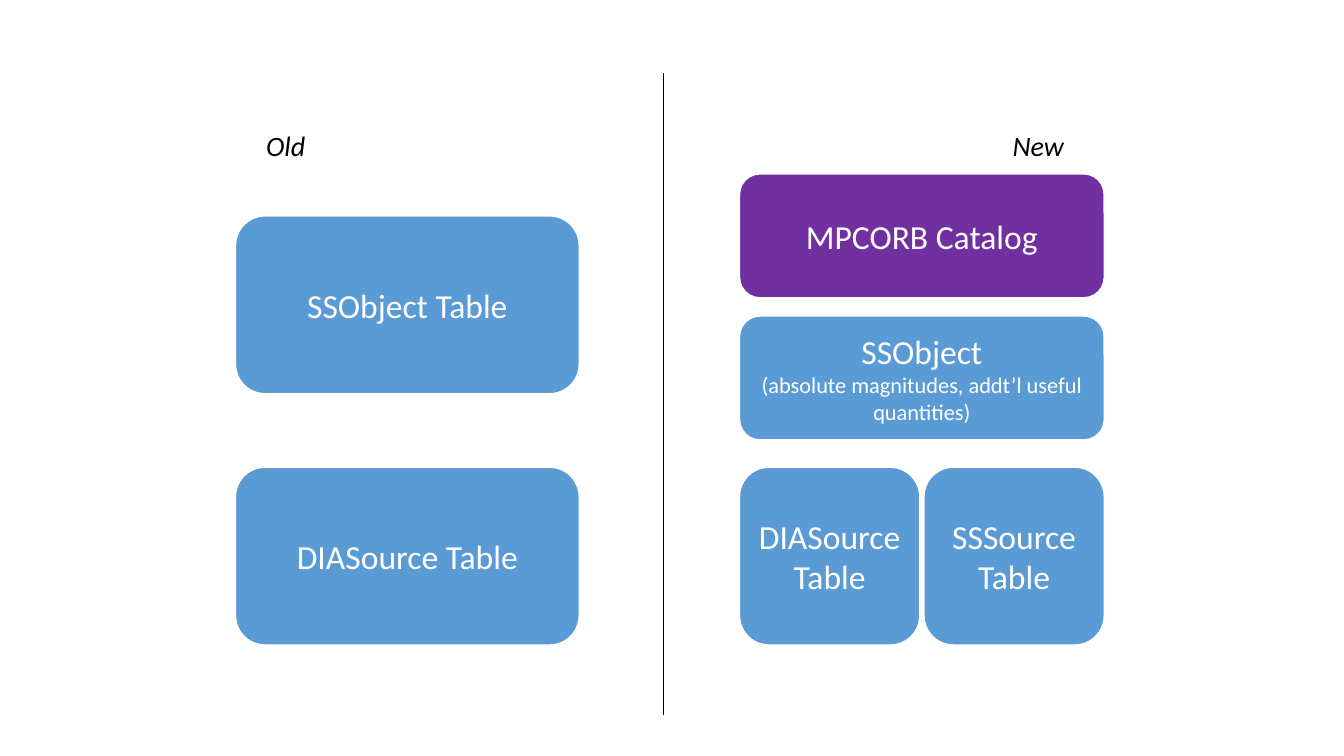
import pptx
import pptx.util
import pptx.dml.color
import pptx.enum.shapes
import pptx.enum.text
import pptx.oxml.ns
import lxml.etree

Pt = pptx.util.Pt
ALIGN = pptx.enum.text.PP_ALIGN
COLORS = {"blue": "5B9BD5", "purple": "7030A0", "white": "FFFFFF", "black": "000000"}


class SlideBuilder:
    """Holds the style and the current slide."""
    font = "Calibri"

    def __init__(self, page):
        self.page = page

    def color(self, name):
        return pptx.dml.color.RGBColor.from_string(COLORS[name])

    def add_text(self, box, spans, align, color, italic=False):
        frame = box.text_frame
        frame.word_wrap = True
        frame.vertical_anchor = pptx.enum.text.MSO_ANCHOR.MIDDLE
        para = frame.paragraphs[0]
        para.alignment = align
        for index, (text, size) in enumerate(spans):
            if index:
                para.add_line_break()
            span = para.add_run()
            span.text = text
            span.font.name = self.font
            span.font.size = Pt(size)
            span.font.italic = italic
            span.font.color.rgb = self.color(color)

    def card(self, left, top, width, height, spans, fill="blue"):
        box = self.page.shapes.add_shape(
            pptx.enum.shapes.MSO_SHAPE.ROUNDED_RECTANGLE,
            Pt(left), Pt(top), Pt(width), Pt(height))
        box.shadow.inherit = False
        box.fill.solid()
        box.fill.fore_color.rgb = self.color(fill)
        box.line.color.rgb = self.color("white")
        box.line.width = Pt(1.5)
        self.add_text(box, spans, ALIGN.CENTER, "white")

    def label(self, left, top, width, height, text, align):
        box = self.page.shapes.add_textbox(Pt(left), Pt(top), Pt(width), Pt(height))
        self.add_text(box, [(text, 20)], align, "black", italic=True)
        box.text_frame.auto_size = pptx.enum.text.MSO_AUTO_SIZE.SHAPE_TO_FIT_TEXT

    def divider(self, x, top, bottom):
        line = self.page.shapes.add_connector(
            pptx.enum.shapes.MSO_CONNECTOR.STRAIGHT, Pt(x), Pt(top), Pt(x), Pt(bottom))
        line.line.color.rgb = self.color("black")
        line.line.width = Pt(0.5)
        properties = line._element.spPr
        lxml.etree.SubElement(properties, pptx.oxml.ns.qn("a:effectLst"))


deck = pptx.Presentation()
deck.slide_width, deck.slide_height = Pt(960), Pt(540)
builder = SlideBuilder(deck.slides.add_slide(deck.slide_layouts[6]))

OLD_LEFT, OLD_WIDTH = 168, 246
NEW_LEFT, NEW_WIDTH = 528, 261
TALL, SHORT = 127.5, 89
BOTTOM_ROW = 333.5

# Column labels
builder.label(183, 88, 215, 31.5, "Old", ALIGN.LEFT)
builder.label(552, 88, 215, 31.5, "New", ALIGN.RIGHT)

# Old tables
for top, name in ((154, "SSObject Table"), (BOTTOM_ROW, "DIASource Table")):
    builder.card(OLD_LEFT, top, OLD_WIDTH, TALL, [(name, 24)])

# New tables
builder.card(NEW_LEFT, 124, NEW_WIDTH, SHORT, [("MPCORB Catalog", 24)], "purple")
builder.card(NEW_LEFT, 225.5, NEW_WIDTH, SHORT,
             [("SSObject", 24), ("(absolute magnitudes, addt’l useful quantities)", 16)])

# Two source tables share the width of the new column
gap = 2.5
half = (NEW_WIDTH - gap) / 2
for index, name in enumerate(("DIASource Table", "SSSource Table")):
    builder.card(NEW_LEFT + index * (half + gap), BOTTOM_ROW, half, TALL, [(name, 24)])

# Line between old and new
builder.divider(474, 52.5, 510.5)

deck.save("out.pptx")
